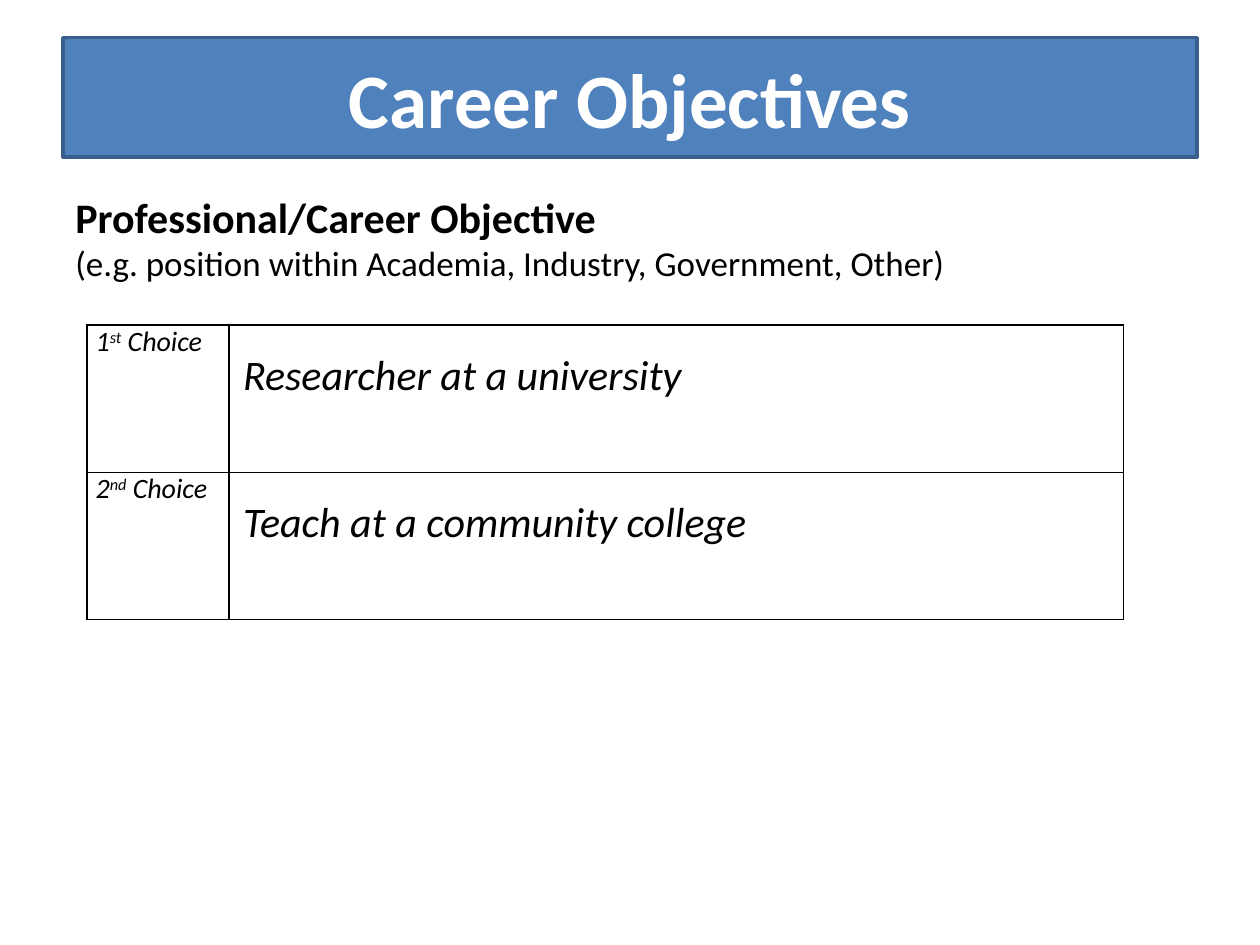
from lxml import etree
from pptx import Presentation
from pptx.dml.color import RGBColor
from pptx.enum.text import MSO_ANCHOR, PP_ALIGN
from pptx.oxml.ns import qn
from pptx.util import Cm, Pt

CENTER = PP_ALIGN.CENTER
TOP, MIDDLE = MSO_ANCHOR.TOP, MSO_ANCHOR.MIDDLE
FONT = "Calibri"
COLORS = {"blue": "4F81BD", "outline": "3A5F8C", "white": "FFFFFF", "black": "000000"}


def style(p, size, color="black", bold=False, italic=False):
    p.font.name = FONT
    p.font.size = Pt(size)
    p.font.bold = bold
    p.font.italic = italic
    p.font.color.rgb = RGBColor.from_string(COLORS[color])


def add_borders(cell):
    tcPr = cell._tc.get_or_add_tcPr()
    for i, side in enumerate(("lnL", "lnR", "lnT", "lnB")):
        ln = etree.Element(qn(f"a:{side}"), w=str(Pt(1)))
        fill = etree.SubElement(ln, qn("a:solidFill"))
        etree.SubElement(fill, qn("a:srgbClr"), val=COLORS["black"])
        tcPr.insert(i, ln)


prs = Presentation()
prs.slide_width, prs.slide_height = Cm(25.4), Cm(19.05)
s = prs.slides.add_slide(prs.slide_layouts[5])

# Title banner
sp = s.shapes.title
sp.left, sp.top, sp.width, sp.height = Cm(1.27), Cm(0.76), Cm(22.86), Cm(2.41)
sp.fill.solid()
sp.fill.fore_color.rgb = RGBColor.from_string(COLORS["blue"])
sp.line.color.rgb = RGBColor.from_string(COLORS["outline"])
sp.line.width = Pt(2)
tf = sp.text_frame
tf.text = "Career Objectives"
tf.vertical_anchor = MIDDLE
p = tf.paragraphs[0]
p.alignment = CENTER
style(p, 44, "white", bold=True)

# Section heading with examples
tf = s.shapes.add_textbox(Cm(1.27), Cm(3.73), Cm(22.86), Cm(2.2)).text_frame
tf.word_wrap = True
p = tf.paragraphs[0]
p.text = "Professional/Career Objective"
style(p, 24, bold=True)
p = tf.add_paragraph()
p.text = "(e.g. position within Academia, Industry, Government, Other)"
style(p, 20)

# Table of choices
choices = [
    ("1", "st", "Researcher at a university"),
    ("2", "nd", "Teach at a community college"),
]
table = s.shapes.add_table(
    len(choices), 2, Cm(1.75), Cm(6.55), Cm(20.9), Cm(5.94)
).table
table.first_row = table.horz_banding = False
table.columns[0].width, table.columns[1].width = Cm(2.87), Cm(18.03)

for row, (number, suffix, objective) in zip(table.rows, choices):
    row.height = Cm(2.97)
    label, answer = row.cells
    for cell in (label, answer):
        cell.fill.background()
        cell.vertical_anchor = TOP
        cell.margin_left = cell.margin_right = Cm(0.18)
        cell.margin_top = cell.margin_bottom = 0
        add_borders(cell)

    p = label.text_frame.paragraphs[0]
    style(p, 16, italic=True)
    for text in (number, suffix, " Choice"):
        r = p.add_run()
        r.text = text
        if text == suffix:
            r._r.get_or_add_rPr().set("baseline", "30000")

    answer.margin_left, answer.margin_top = Cm(0.28), Cm(0.51)
    p = answer.text_frame.paragraphs[0]
    p.text = objective
    style(p, 24, italic=True)

prs.save("out.pptx")
